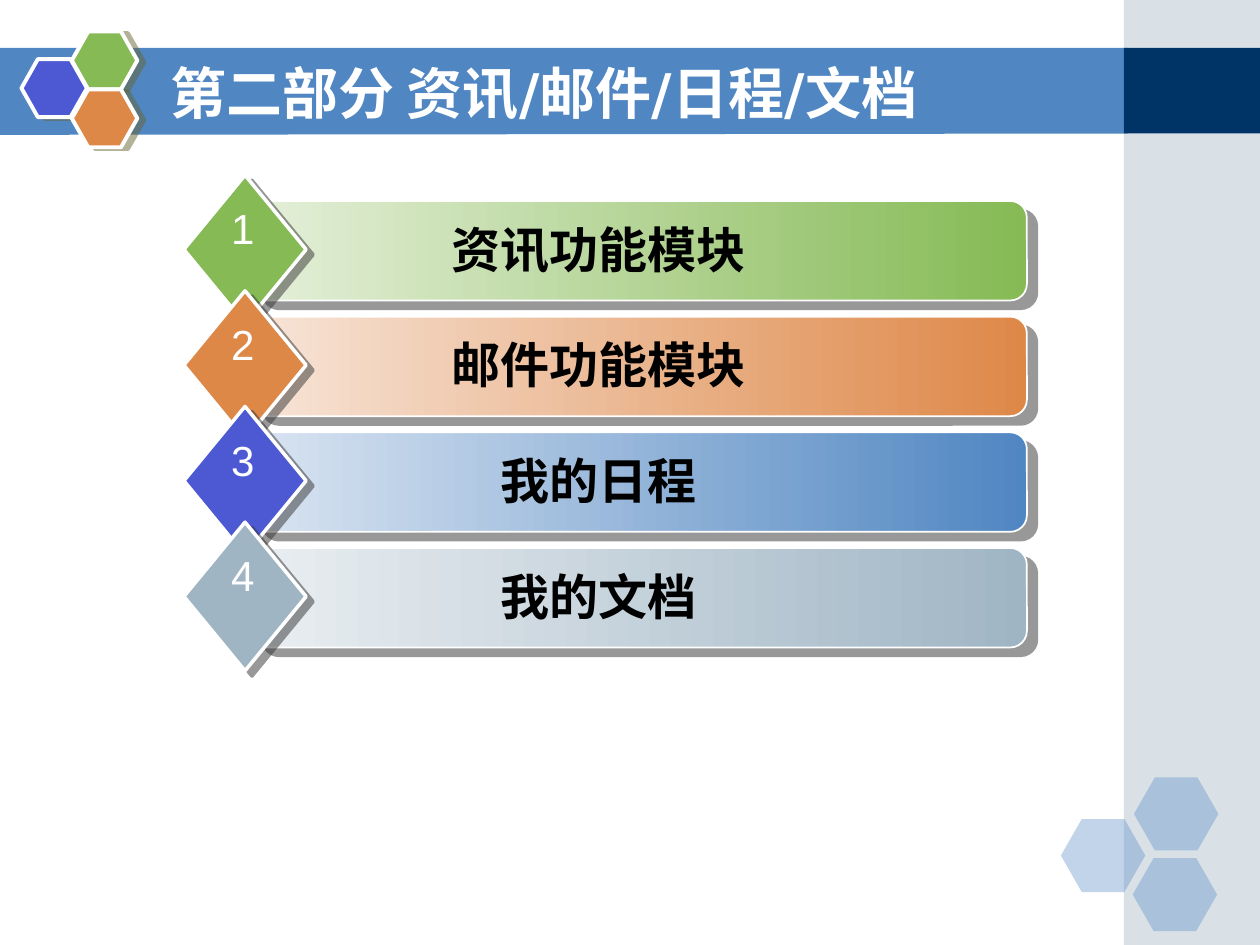
from lxml.etree import SubElement
from pptx import Presentation
from pptx.dml.color import RGBColor
from pptx.enum.shapes import MSO_SHAPE as Shape
from pptx.enum.text import MSO_ANCHOR as Anchor, MSO_AUTO_SIZE as AutoSize, PP_ALIGN as Align
from pptx.oxml.ns import qn
from pptx.util import Inches, Pt

BLUE = RGBColor(0x50, 0x86, 0xC2)
INDIGO = RGBColor(0x4C, 0x59, 0xD2)
GREEN = RGBColor(0x85, 0xBA, 0x54)
ORANGE = RGBColor(0xDE, 0x88, 0x48)
GREY = RGBColor(0xA0, 0xB5, 0xC4)
NAVY = RGBColor(0x00, 0x33, 0x66)
WHITE = RGBColor(0xFF, 0xFF, 0xFF)
BLACK = RGBColor(0x00, 0x00, 0x00)
OLIVE = RGBColor(0x66, 0x66, 0x33)
CHARCOAL = RGBColor(0x33, 0x33, 0x33)
PALE_GREEN = RGBColor(0xE4, 0xEF, 0xD9)
PALE_ORANGE = RGBColor(0xF7, 0xE4, 0xD7)
PALE_BLUE = RGBColor(0xD9, 0xE4, 0xF1)
PALE_GREY = RGBColor(0xE9, 0xEE, 0xF1)

AGENDA = [
    ("资讯功能模块", GREEN, GREEN, PALE_GREEN),
    ("邮件功能模块", ORANGE, ORANGE, PALE_ORANGE),
    ("我的日程", INDIGO, BLUE, PALE_BLUE),
    ("我的文档", GREY, GREY, PALE_GREY),
]
AGENDA_STEP = 9.18


class SlideBuilder:
    """Draws styled elements on one slide, on a grid of 100 columns by 75 rows."""

    def __init__(self, presentation):
        self.column = presentation.slide_width / 100
        self.row = presentation.slide_height / 75
        self.slide = presentation.slides.add_slide(presentation.slide_layouts[5])
        self.shapes = self.slide.shapes

    def box(self, left, top, width, height):
        return (round(left * self.column), round(top * self.row),
                round(width * self.column), round(height * self.row))

    def shape(self, kind, place, fill, fade=None, opacity=None, outline=None, adjust=None):
        shape = self.shapes.add_shape(kind, *self.box(*place))
        if adjust is not None:
            shape.adjustments[0] = adjust
        self.paint(shape, fill, fade, opacity, outline)
        return shape

    def paint(self, shape, fill, fade=None, opacity=None, outline=None):
        shape.shadow.inherit = False
        if fade is None:
            shape.fill.solid()
            shape.fill.fore_color.rgb = fill
        else:
            shape.fill.gradient()
            shape.fill.gradient_angle = 180
            for stop, color in zip(shape.fill.gradient_stops, (fill, fade)):
                stop.color.rgb = color
        if opacity is not None:
            color = shape.element.spPr.find(qn("a:solidFill"))[0]
            SubElement(color, qn("a:alpha"), val=str(opacity * 1000))
        if outline is None:
            shape.line.fill.background()
        else:
            shape.line.color.rgb = WHITE
            shape.line.width = Pt(outline)

    def shadow(self, shape, color, distance, angle):
        effects = shape.element.spPr.find(qn("a:effectLst"))
        shadow = SubElement(effects, qn("a:outerShdw"), blurRad="0", dist=str(Pt(distance)),
                            dir=str(angle * 60000), algn="ctr", rotWithShape="0")
        tint = SubElement(shadow, qn("a:srgbClr"), val=str(color))
        SubElement(tint, qn("a:alpha"), val="50000")

    def outline(self, points, fill):
        start, *others = [(x * self.column, y * self.row) for x, y in points]
        builder = self.shapes.build_freeform(*start)
        builder.add_line_segments(others, close=True)
        self.paint(builder.convert_to_shape(), fill)

    def format(self, frame, text, size, color, bold, font, align):
        frame.text = text
        paragraph = frame.paragraphs[0]
        paragraph.alignment = align
        paragraph.font.size = Pt(size)
        paragraph.font.bold = bold
        paragraph.font.name = font
        paragraph.font.color.rgb = color

    def title(self, text, place):
        title = self.shapes.title
        title.left, title.top, title.width, title.height = self.box(*place)
        title.text_frame.vertical_anchor = Anchor.MIDDLE
        self.format(title.text_frame, text, 32, WHITE, True, "DejaVu Sans", Align.LEFT)
        title.element.getparent().append(title.element)

    def label(self, text, place, size, color, bold=False, wrap=True):
        frame = self.shapes.add_textbox(*self.box(*place)).text_frame
        frame.word_wrap = wrap
        frame.auto_size = AutoSize.SHAPE_TO_FIT_TEXT
        self.format(frame, text, size, color, bold, "Arial", Align.CENTER)

    def backdrop(self):
        self.outline([(-0.1, 3.8), (89.5, 3.8), (89.5, 10.6), (-0.1, 10.7)], BLUE)
        self.shape(Shape.RECTANGLE, (89.2, 0, 10.8, 75), GREY, opacity=40)
        self.shape(Shape.RECTANGLE, (89.2, 3.8, 10.8, 6.8), NAVY)
        for left, top in [(84.2, 65), (90, 61.7), (89.9, 68.1)]:
            self.shape(Shape.HEXAGON, (left, top, 6.7, 5.8), BLUE, opacity=35, adjust=0.286)
        for left, top, color in [(1.7, 4.7, INDIGO), (5.7, 2.5, GREEN), (5.7, 7.1, ORANGE)]:
            cell = self.shape(Shape.HEXAGON, (left, top, 5.2, 4.6), color,
                              outline=2.25, adjust=0.283)
            self.shadow(cell, OLIVE, 4.1, 14)

    def agenda_item(self, number, text, marker, bar, fade):
        top = 13.9 + (number - 1) * AGENDA_STEP
        strip = self.shape(Shape.ROUNDED_RECTANGLE, (20, top + 2.05, 61.5, 7.9), bar,
                           fade=fade, outline=1, adjust=0.167)
        self.shadow(strip, CHARCOAL, 7.8, 40)
        diamond = self.shape(Shape.DIAMOND, (14.6, top, 9.7, 11.8), marker, outline=2)
        self.shadow(diamond, CHARCOAL, 5, 37)
        self.label(text, (23.2, top + 3, 48.6, 5.7), 28, BLACK, bold=True)
        self.label(str(number), (17.35, top + 1.7, 3.8, 5), 24, WHITE, wrap=False)


def main():
    presentation = Presentation()
    presentation.slide_width, presentation.slide_height = Inches(10), Inches(7.5)
    builder = SlideBuilder(presentation)
    builder.backdrop()
    builder.title("第二部分 资讯/邮件/日程/文档", (12.5, 4.2, 73.3, 6.2))
    for number, item in enumerate(AGENDA, start=1):
        builder.agenda_item(number, *item)
    presentation.save("out.pptx")


if __name__ == "__main__":
    main()
